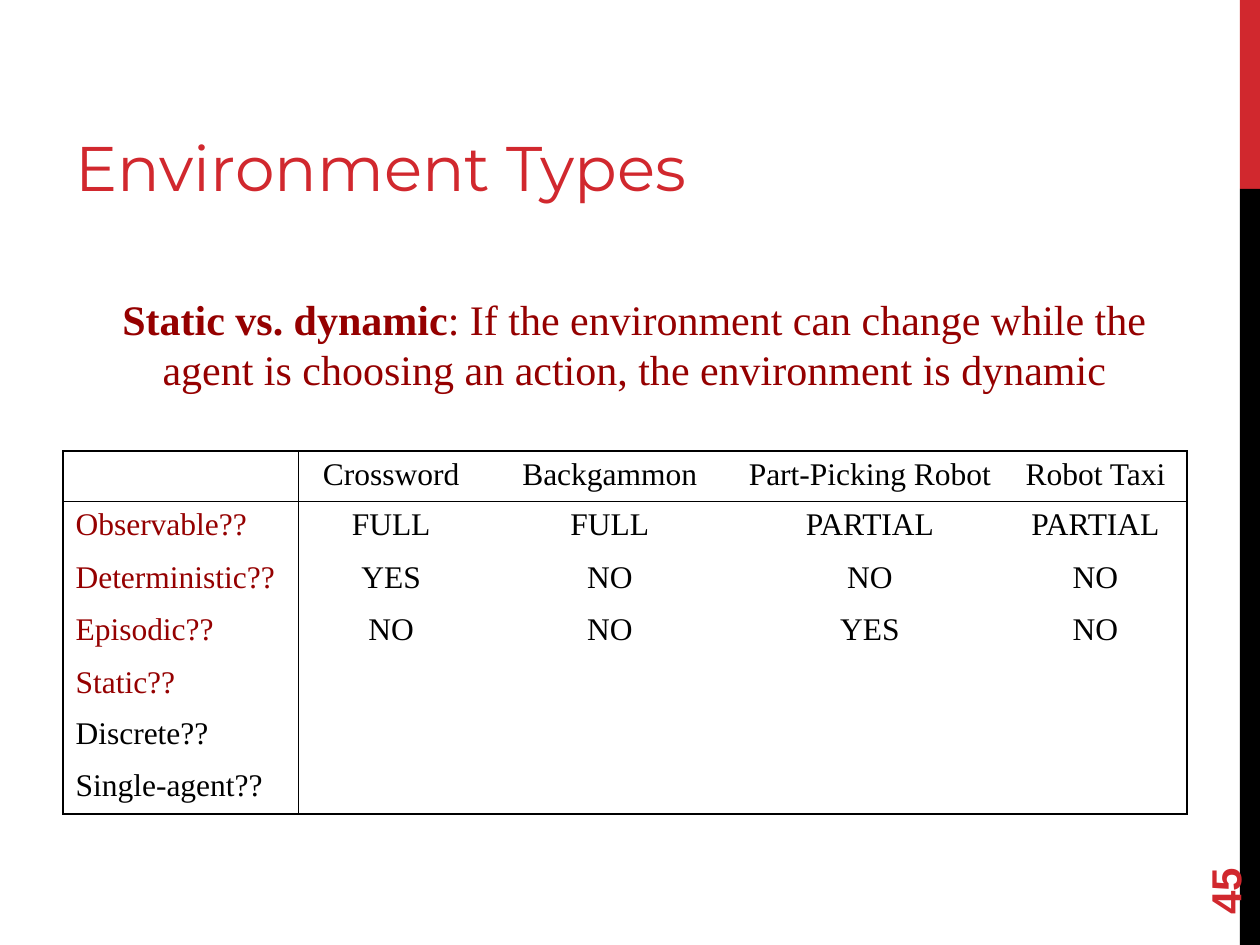
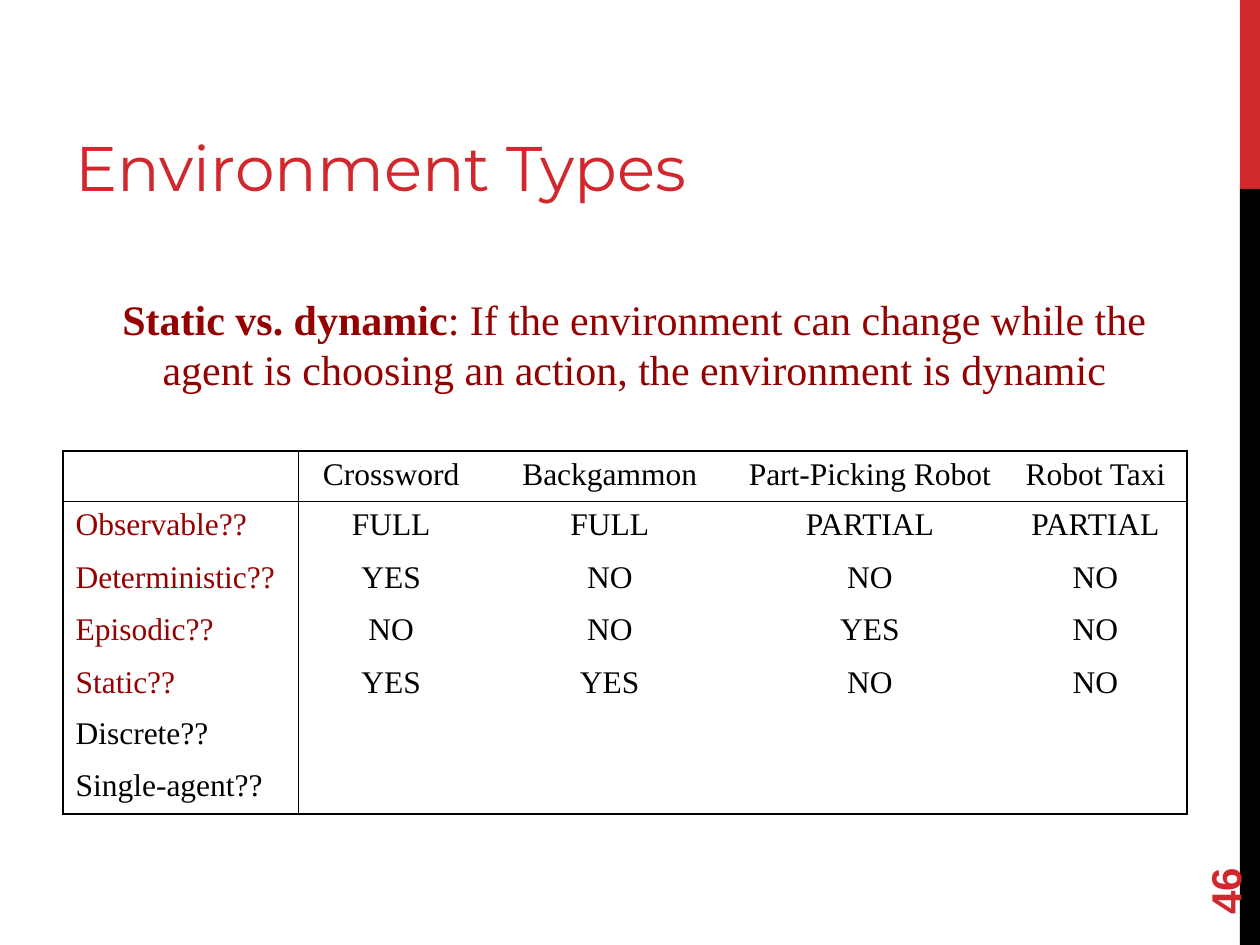
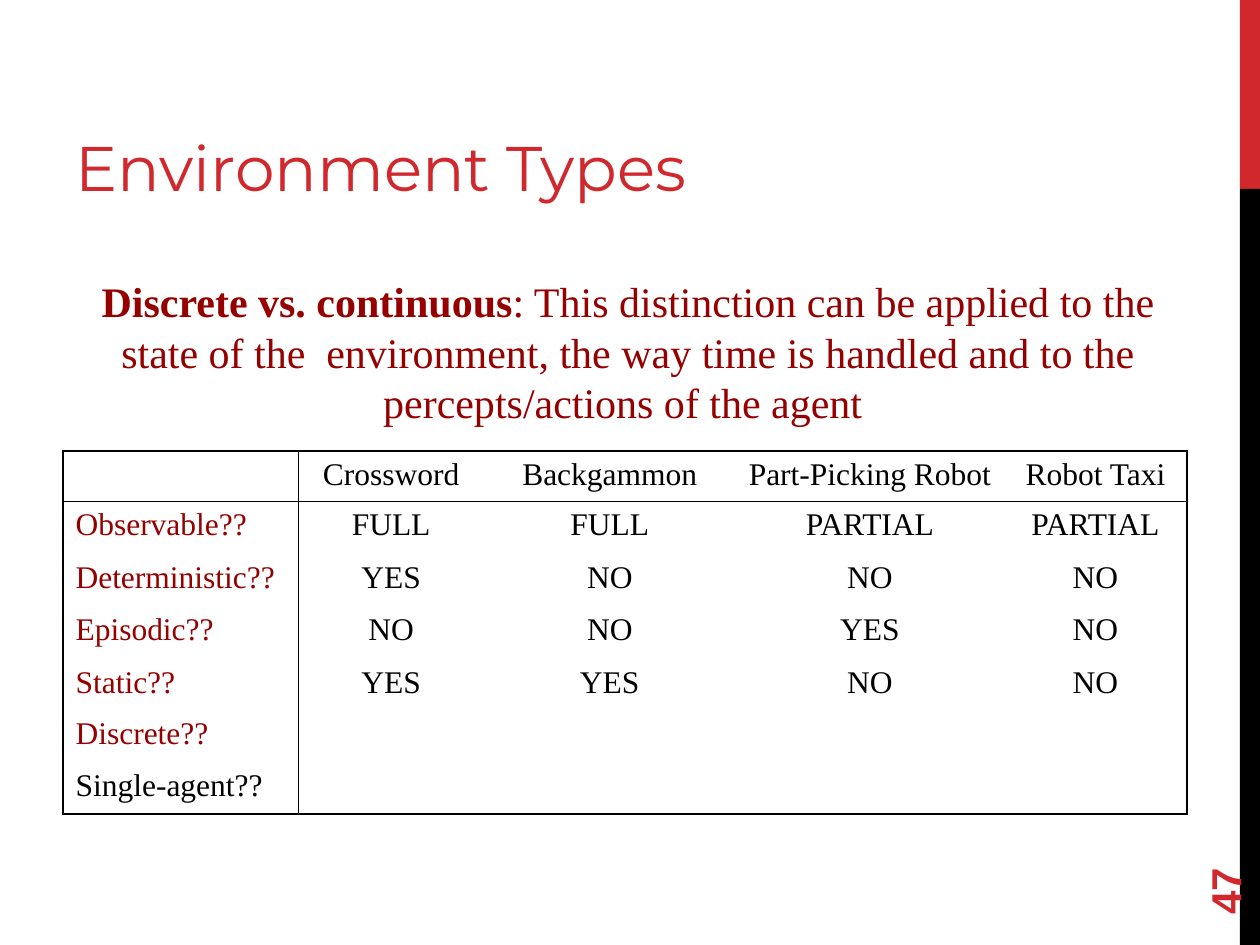
from lxml import etree
from pptx import Presentation
from pptx.dml.color import RGBColor
from pptx.enum.shapes import MSO_SHAPE
from pptx.enum.text import MSO_ANCHOR as ANCHOR, PP_ALIGN as ALIGN
from pptx.oxml.ns import qn
from pptx.util import Inches, Pt

RED, DARK_RED, BLACK, WHITE = "D1282E", "950000", "000000", "FFFFFF"
TITLE_FONT, NUMBER_FONT, BODY_FONT = "Montserrat", "Arial", "Times New Roman"

TITLE_BOX = (0.5, 0.17, 6.33, 1.5)
BAND_BOX = (9.84, 0, 0.16, 7.5)
NUMBER_BOX = (9, 6.44, 1.44, 0.4)
STATIC_BOX = (0.83, 2.28, 8.41, 0.91)
DISCRETE_BOX = (0.6, 2.14, 8.77, 1.31)
TABLE_ORIGIN = (0.5, 3.58)
COLUMN_WIDTHS = (1.87, 1.47, 2, 2.13, 1.45)
ROW_HEIGHTS = (0.25, 0.42, 0.41, 0.42, 0.41, 0.41, 0.41)

ENVIRONMENTS = ["", "Crossword", "Backgammon", "Part-Picking Robot", "Robot Taxi"]
PROPERTIES = ["Observable??", "Deterministic??", "Episodic??", "Static??",
              "Discrete??", "Single-agent??"]
ANSWERS = [
    ["FULL", "FULL", "PARTIAL", "PARTIAL"],
    ["YES", "NO", "NO", "NO"],
    ["NO", "NO", "YES", "NO"],
    ["YES", "YES", "NO", "NO"],
]
STATIC = ("Static vs. dynamic", ": If the environment can change while the agent "
          "is choosing an action, the environment is dynamic")
DISCRETE = ("Discrete vs. continuous", ": This distinction can be applied to the "
            "state of the  environment, the way time is handled and to the "
            "percepts/actions of the agent ")

# number, definition box, definition, properties introduced, rows answered
SLIDES = [
    (45, STATIC_BOX, STATIC, 4, 3),
    (46, STATIC_BOX, STATIC, 4, 4),
    (47, DISCRETE_BOX, DISCRETE, 5, 4),
]


def rgb(color):
    return RGBColor.from_string(color)


def style(paragraph, font_name, size, color, align=ALIGN.LEFT):
    paragraph.alignment = align
    font = paragraph.font
    font.name, font.size = font_name, Pt(size)
    font.color.rgb = rgb(color)


def add_text(slide, box, anchor=ANCHOR.TOP):
    """Add a wrapping text box; return it with its first paragraph."""
    holder = slide.shapes.add_textbox(*map(Inches, box))
    frame = holder.text_frame
    frame.word_wrap = True
    frame.vertical_anchor = anchor
    return holder, frame.paragraphs[0]


def add_band(slide, box):
    """Side band: red top fifth, black below."""
    left, top, width, height = box
    red_height = height / 5
    for y, part_height, color in ((top, red_height, RED),
                                  (top + red_height, height - red_height, BLACK)):
        part = slide.shapes.add_shape(
            MSO_SHAPE.RECTANGLE, *map(Inches, (left, y, width, part_height)))
        part.shadow.inherit = False
        part.fill.solid()
        part.fill.fore_color.rgb = rgb(color)
        part.line.fill.background()


def add_title(slide, box):
    _, title = add_text(slide, box, ANCHOR.BOTTOM)
    title.text = "Environment Types"
    style(title, TITLE_FONT, 36, RED)


def add_number(slide, box, number):
    holder, page = add_text(slide, box, ANCHOR.MIDDLE)
    holder.rotation = 270
    page.text = str(number)
    style(page, NUMBER_FONT, 24, RED)
    page.font.bold = True


def add_definition(slide, box, definition):
    _, paragraph = add_text(slide, box)
    style(paragraph, BODY_FONT, 24, DARK_RED, ALIGN.CENTER)
    for text, bold in zip(definition, (True, False)):
        run = paragraph.add_run()
        run.text = text
        run.font.bold = bold


def set_borders(cell, sides):
    """Draw the listed sides as 1 pt black lines and clear the others."""
    properties = cell._tc.get_or_add_tcPr()
    for index, side in enumerate("LRTB"):
        line = etree.Element(qn(f"a:ln{side}"), w=str(Pt(1)))
        if side in sides:
            fill = etree.SubElement(line, qn("a:solidFill"))
            etree.SubElement(fill, qn("a:srgbClr"), val=BLACK)
        else:
            etree.SubElement(line, qn("a:noFill"))
        properties.insert(index, line)


def add_environment_table(slide, origin, introduced, answered):
    row_count, column_count = len(ROW_HEIGHTS), len(COLUMN_WIDTHS)
    size = (sum(COLUMN_WIDTHS), sum(ROW_HEIGHTS))
    table = slide.shapes.add_table(
        row_count, column_count, *map(Inches, origin + size)).table
    table.first_row = table.horz_banding = False
    for column, width in zip(table.columns, COLUMN_WIDTHS):
        column.width = Inches(width)
    for row, height in zip(table.rows, ROW_HEIGHTS):
        row.height = Inches(height)

    blank = [""] * (column_count - 1)
    contents = [ENVIRONMENTS]
    for index, name in enumerate(PROPERTIES):
        contents.append([name] + (ANSWERS[index] if index < answered else blank))

    for r, texts in enumerate(contents):
        for c, text in enumerate(texts):
            cell = table.cell(r, c)
            cell.fill.solid()
            cell.fill.fore_color.rgb = rgb(WHITE)
            # Frame, plus lines under the header and beside the properties
            edges = {"L": c <= 1, "R": c in (0, column_count - 1),
                     "T": r <= 1, "B": r in (0, row_count - 1)}
            set_borders(cell, [side for side, drawn in edges.items() if drawn])
            if not text:
                # Keep an empty cell from stretching its row
                cell.margin_top = cell.margin_bottom = 0
                continue
            paragraph = cell.text_frame.paragraphs[0]
            paragraph.text = text
            color = DARK_RED if c == 0 and r <= introduced else BLACK
            style(paragraph, BODY_FONT, 18, color, ALIGN.CENTER if c else ALIGN.LEFT)


def add_environment_slide(deck, number, box, definition, introduced, answered):
    slide = deck.slides.add_slide(deck.slide_layouts[6])
    add_band(slide, BAND_BOX)
    add_title(slide, TITLE_BOX)
    add_number(slide, NUMBER_BOX, number)
    add_environment_table(slide, TABLE_ORIGIN, introduced, answered)
    add_definition(slide, box, definition)


def main():
    deck = Presentation()
    deck.slide_width, deck.slide_height = Inches(10), Inches(7.5)
    for content in SLIDES:
        add_environment_slide(deck, *content)
    deck.save("out.pptx")


if __name__ == "__main__":
    main()
